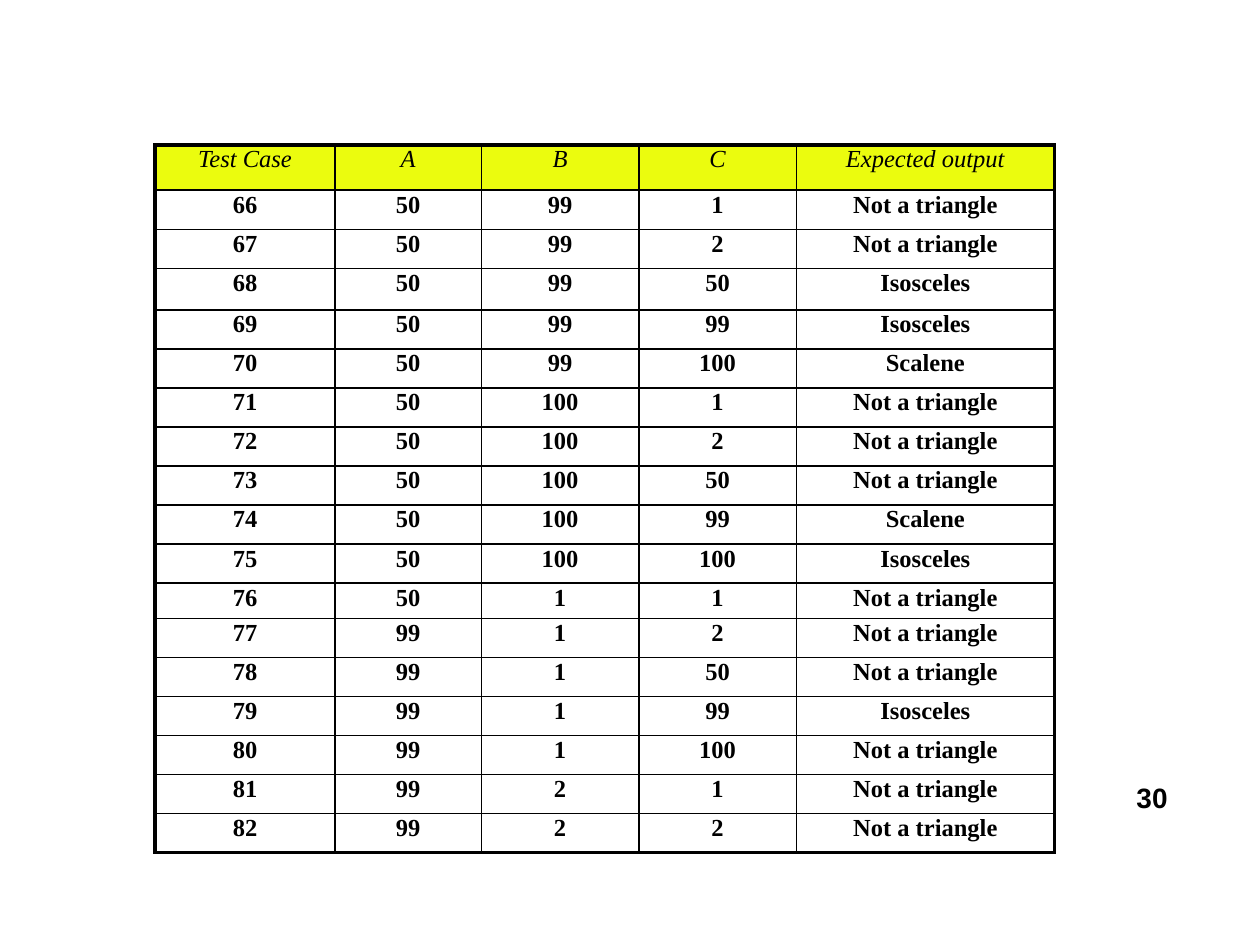
"""Build a slide with a table of triangle test cases."""
from lxml.etree import SubElement
from pptx import Presentation
from pptx.dml.color import RGBColor
from pptx.enum.text import MSO_ANCHOR, MSO_AUTO_SIZE, PP_ALIGN
from pptx.oxml.ns import qn
from pptx.util import Inches, Pt

HUES = {"ink": "000000", "head": "EBFC0E"}
HEAD = ["Test Case", "A", "B", "C", "Expected output"]
FIRST = 66
CASES = [
    (50, 99, 1, "Not a triangle"),
    (50, 99, 2, "Not a triangle"),
    (50, 99, 50, "Isosceles"),
    (50, 99, 99, "Isosceles"),
    (50, 99, 100, "Scalene"),
    (50, 100, 1, "Not a triangle"),
    (50, 100, 2, "Not a triangle"),
    (50, 100, 50, "Not a triangle"),
    (50, 100, 99, "Scalene"),
    (50, 100, 100, "Isosceles"),
    (50, 1, 1, "Not a triangle"),
    (99, 1, 2, "Not a triangle"),
    (99, 1, 50, "Not a triangle"),
    (99, 1, 99, "Isosceles"),
    (99, 1, 100, "Not a triangle"),
    (99, 2, 1, "Not a triangle"),
    (99, 2, 2, "Not a triangle"),
]
WIDTHS = [1.43, 1.16, 1.25, 1.25, 2.05]
TALL = {0: 0.36, 3: 0.33, 11: 0.28}


def write(frame, text, size=14, font="Times New Roman", bold=False,
          slant=False, align=PP_ALIGN.CENTER, space=1.04):
    para = frame.paragraphs[0]
    para.alignment = align
    para.line_spacing = space
    run = para.add_run()
    run.text = str(text)
    run.font.size = Pt(size)
    run.font.name = font
    run.font.bold = bold
    run.font.italic = slant
    run.font.color.rgb = RGBColor.from_string(HUES["ink"])
    return para


def edge(cell, sides):
    props = cell._tc.get_or_add_tcPr()
    for spot, (side, width) in enumerate(sides.items()):
        line = SubElement(props, qn(f"a:ln{side}"), w=str(Pt(width)))
        fill = SubElement(line, qn("a:solidFill"))
        SubElement(fill, qn("a:srgbClr"), val=HUES["ink"])
        props.insert(spot, line)


deck = Presentation()
deck.slide_width = Inches(10)
deck.slide_height = Inches(7.5)
slide = deck.slides.add_slide(deck.slide_layouts[6])

rows = [HEAD] + [(FIRST + n, *case) for n, case in enumerate(CASES)]
highs = [TALL.get(n, 0.31) for n in range(len(rows))]
grid = slide.shapes.add_table(
    len(rows), len(HEAD), Inches(1.23), Inches(1.15),
    Inches(sum(WIDTHS)), Inches(sum(highs))).table
grid.horz_banding = False
for col, width in zip(grid.columns, WIDTHS):
    col.width = Inches(width)

for r, (row, high) in enumerate(zip(rows, highs)):
    grid.rows[r].height = Inches(high)
    for c, text in enumerate(row):
        cell = grid.cell(r, c)
        cell.margin_left = cell.margin_right = 0
        cell.margin_top = cell.margin_bottom = 0
        cell.vertical_anchor = MSO_ANCHOR.TOP
        if r == 0:
            cell.fill.solid()
            cell.fill.fore_color.rgb = RGBColor.from_string(HUES["head"])
        else:
            cell.fill.background()
        edge(cell, {
            "L": 2.25 if c == 0 else 1,
            "R": 2.25 if c == len(HEAD) - 1 else 1,
            "T": 2.25 if r == 0 else 1,
            "B": 2.25 if r == len(rows) - 1 else 1,
        })
        write(cell.text_frame, text, bold=r > 0, slant=r == 0,
              space=1.04 if r < 12 else 1.05)

box = slide.shapes.add_textbox(
    Inches(8.98), Inches(6.15), Inches(0.33), Inches(0.28))
frame = box.text_frame
frame.word_wrap = True
frame.auto_size = MSO_AUTO_SIZE.SHAPE_TO_FIT_TEXT
frame.margin_left = frame.margin_right = 0
frame.margin_top = frame.margin_bottom = 0
page = write(frame, 30, size=16, font="Arial", bold=True,
             align=PP_ALIGN.LEFT, space=1.17)
page._p.get_or_add_pPr().set("marL", str(Inches(0.04)))

deck.save("out.pptx")
